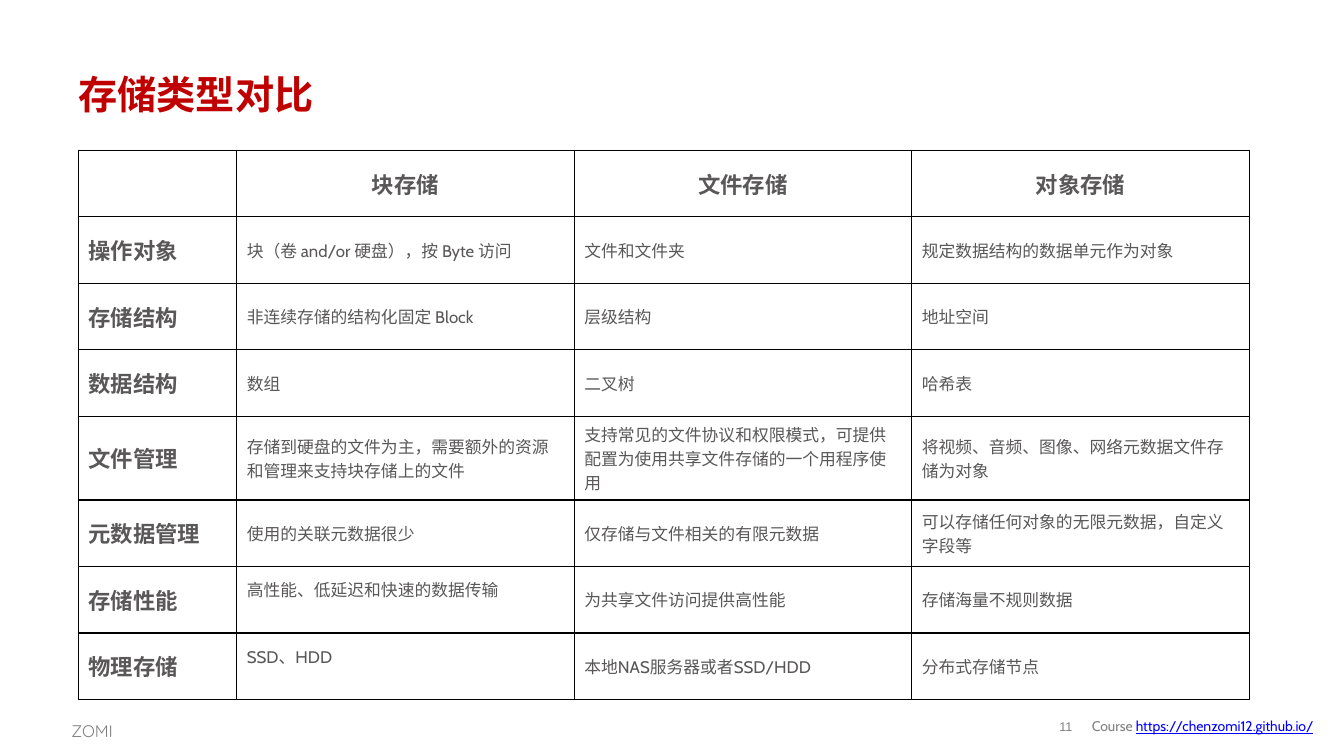
from dataclasses import dataclass

from lxml.etree import SubElement
from pptx import Presentation
from pptx.dml.color import RGBColor
from pptx.enum.text import MSO_ANCHOR, PP_ALIGN
from pptx.oxml.ns import qn
from pptx.slide import Slide
from pptx.table import _Cell
from pptx.text.text import _Paragraph
from pptx.util import Inches, Pt

RED = RGBColor(0xC0, 0x00, 0x00)
BLACK = RGBColor(0x00, 0x00, 0x00)
WHITE = RGBColor(0xFF, 0xFF, 0xFF)
DARK_GRAY = RGBColor(0x59, 0x57, 0x57)
GRAY = RGBColor(0x80, 0x80, 0x80)
BLUE = RGBColor(0x00, 0x00, 0xFF)

TITLE_FORMAT = {"name": "Cabin", "size": Pt(28), "bold": True, "color": RED}
HEADING_FORMAT = {"name": "Cabin", "size": Pt(16), "bold": True, "color": DARK_GRAY}
BODY_FORMAT = {"name": "Cabin", "size": Pt(12), "bold": False, "color": DARK_GRAY}
COURSE_FORMAT = {"name": "Cabin", "size": Pt(10), "color": GRAY}
ADDRESS_FORMAT = COURSE_FORMAT | {"color": BLUE, "underline": True}

COLUMN_WIDTHS = [1.57, 3.35, 3.35, 3.35]
ROW_HEIGHT = 0.66
THREE_LINE_ROW_HEIGHT = 0.83
ROWS = [
    ["", "块存储", "文件存储", "对象存储"],
    ["操作对象", "块（卷 and/or 硬盘），按 Byte 访问", "文件和文件夹", "规定数据结构的数据单元作为对象"],
    ["存储结构", "非连续存储的结构化固定 Block", "层级结构", "地址空间"],
    ["数据结构", "数组", "二叉树", "哈希表"],
    ["文件管理", "存储到硬盘的文件为主，需要额外的资源和管理来支持块存储上的文件",
     "支持常见的文件协议和权限模式，可提供配置为使用共享文件存储的一个用程序使用",
     "将视频、音频、图像、网络元数据文件存储为对象"],
    ["元数据管理", "使用的关联元数据很少", "仅存储与文件相关的有限元数据",
     "可以存储任何对象的无限元数据，自定义字段等"],
    ["存储性能", "高性能、低延迟和快速的数据传输", "为共享文件访问提供高性能", "存储海量不规则数据"],
    ["物理存储", "SSD、HDD", "本地NAS服务器或者SSD/HDD", "分布式存储节点"],
]
ROW_HEIGHTS = [THREE_LINE_ROW_HEIGHT if row[0] == "文件管理" else ROW_HEIGHT for row in ROWS]
RAISED_CELLS = {(6, 1), (7, 1)}


@dataclass
class Footer:
    left: float
    width: float
    height: float
    runs: list[tuple[str, dict]]
    anchor: MSO_ANCHOR = MSO_ANCHOR.MIDDLE
    alignment: PP_ALIGN = PP_ALIGN.LEFT
    line_spacing: float = 1.0
    inset: tuple[float, float] = (0.1, 0.05)


FOOTERS = [
    Footer(10.4, 0.36, 0.31, [("11", {"name": "Arial", "size": Pt(9), "color": GRAY})],
           alignment=PP_ALIGN.CENTER, line_spacing=0.85, inset=(0, 0)),
    Footer(0.61, 0.8, 0.32, [("ZOMI", {"name": "Quicksand", "size": Pt(12), "color": GRAY})],
           anchor=MSO_ANCHOR.TOP, line_spacing=1.2),
    Footer(10.74, 2.46, 0.29, [("Course ", COURSE_FORMAT),
                               ("https://chenzomi12.github.io/", ADDRESS_FORMAT)]),
]


def add_run(paragraph: _Paragraph, text: str, text_format: dict) -> None:
    run = paragraph.add_run()
    run.text = text
    for attribute, value in text_format.items():
        if attribute == "color":
            run.font.color.rgb = value
        else:
            setattr(run.font, attribute, value)


def add_title(slide: Slide, text: str) -> None:
    title = slide.shapes.title
    title.left, title.top = Inches(0.68), Inches(0.61)
    title.width, title.height = Inches(11.99), Inches(0.64)
    title.text_frame.vertical_anchor = MSO_ANCHOR.MIDDLE
    paragraph = title.text_frame.paragraphs[0]
    paragraph.alignment = PP_ALIGN.LEFT
    add_run(paragraph, text, TITLE_FORMAT)


def add_footer(slide: Slide, footer: Footer) -> None:
    shape = slide.shapes.add_textbox(Inches(footer.left), Inches(7.06),
                                     Inches(footer.width), Inches(footer.height))
    frame = shape.text_frame
    horizontal, vertical = map(Inches, footer.inset)
    frame_format = {
        "word_wrap": True, "vertical_anchor": footer.anchor,
        "margin_left": horizontal, "margin_right": horizontal,
        "margin_top": vertical, "margin_bottom": vertical,
    }
    for attribute, value in frame_format.items():
        setattr(frame, attribute, value)
    paragraph = frame.paragraphs[0]
    paragraph.alignment = footer.alignment
    paragraph.line_spacing = footer.line_spacing
    for text, text_format in footer.runs:
        add_run(paragraph, text, text_format)


def add_borders(cell: _Cell) -> None:
    properties = cell._tc.get_or_add_tcPr()
    for index, side in enumerate(("a:lnL", "a:lnR", "a:lnT", "a:lnB")):
        line = SubElement(properties, qn(side), w=str(Pt(1)))
        fill = SubElement(line, qn("a:solidFill"))
        SubElement(fill, qn("a:srgbClr"), val=str(BLACK))
        properties.insert(index, line)


def add_comparison_table(slide: Slide) -> None:
    table = slide.shapes.add_table(
        len(ROWS), len(COLUMN_WIDTHS), Inches(0.78), Inches(1.49),
        Inches(sum(COLUMN_WIDTHS)), Inches(sum(ROW_HEIGHTS))).table
    for column, width in zip(table.columns, COLUMN_WIDTHS):
        column.width = Inches(width)
    for row_index, texts in enumerate(ROWS):
        table.rows[row_index].height = Inches(ROW_HEIGHTS[row_index])
        for column_index, text in enumerate(texts):
            cell = table.cell(row_index, column_index)
            cell.fill.solid()
            cell.fill.fore_color.rgb = WHITE
            cell.vertical_anchor = MSO_ANCHOR.MIDDLE
            if (row_index, column_index) in RAISED_CELLS:
                cell.margin_bottom = Inches(0.25)
            add_borders(cell)
            if not text:
                continue
            paragraph = cell.text_frame.paragraphs[0]
            paragraph.alignment = PP_ALIGN.LEFT if row_index else PP_ALIGN.CENTER
            is_heading = row_index == 0 or column_index == 0
            add_run(paragraph, text, HEADING_FORMAT if is_heading else BODY_FORMAT)


def main() -> None:
    presentation = Presentation()
    presentation.slide_width = Inches(13.34)
    presentation.slide_height = Inches(7.5)
    slide = presentation.slides.add_slide(presentation.slide_layouts[5])
    for footer in FOOTERS:
        add_footer(slide, footer)
    add_title(slide, "存储类型对比")
    add_comparison_table(slide)
    presentation.save("out.pptx")


if __name__ == "__main__":
    main()
